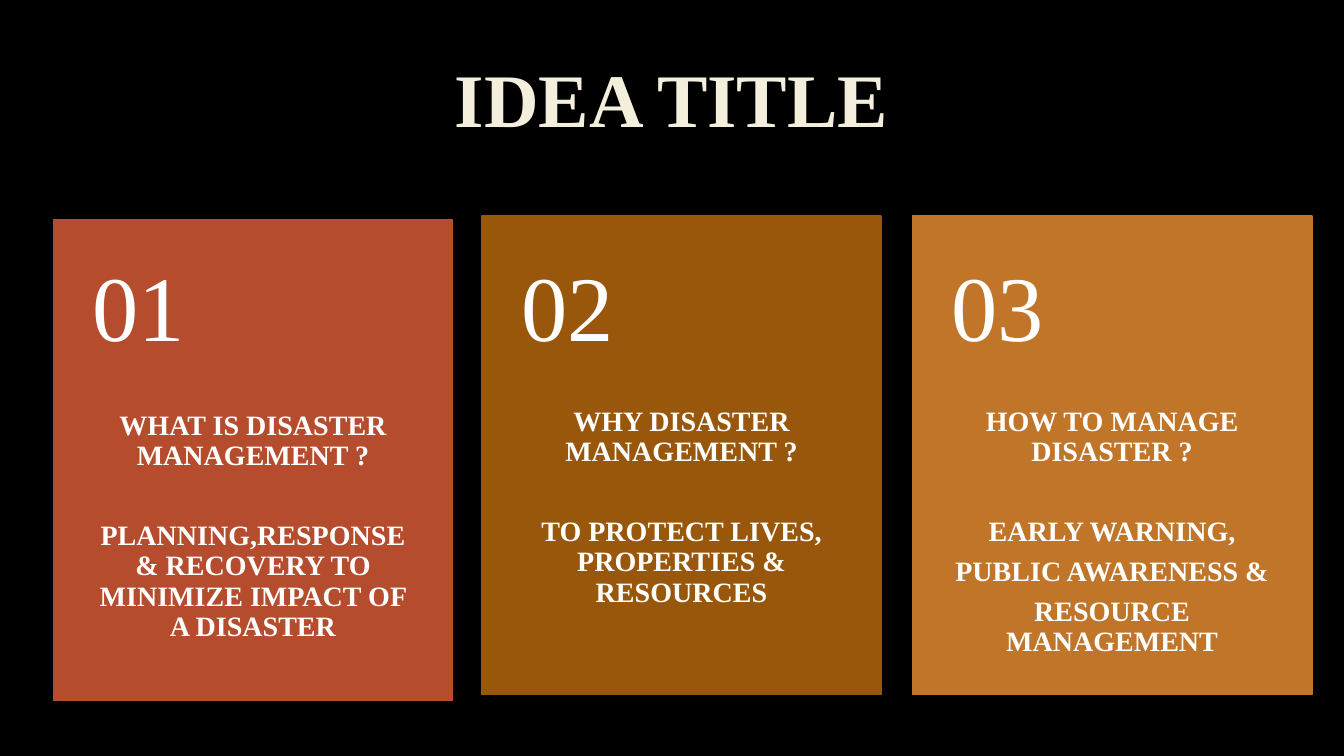
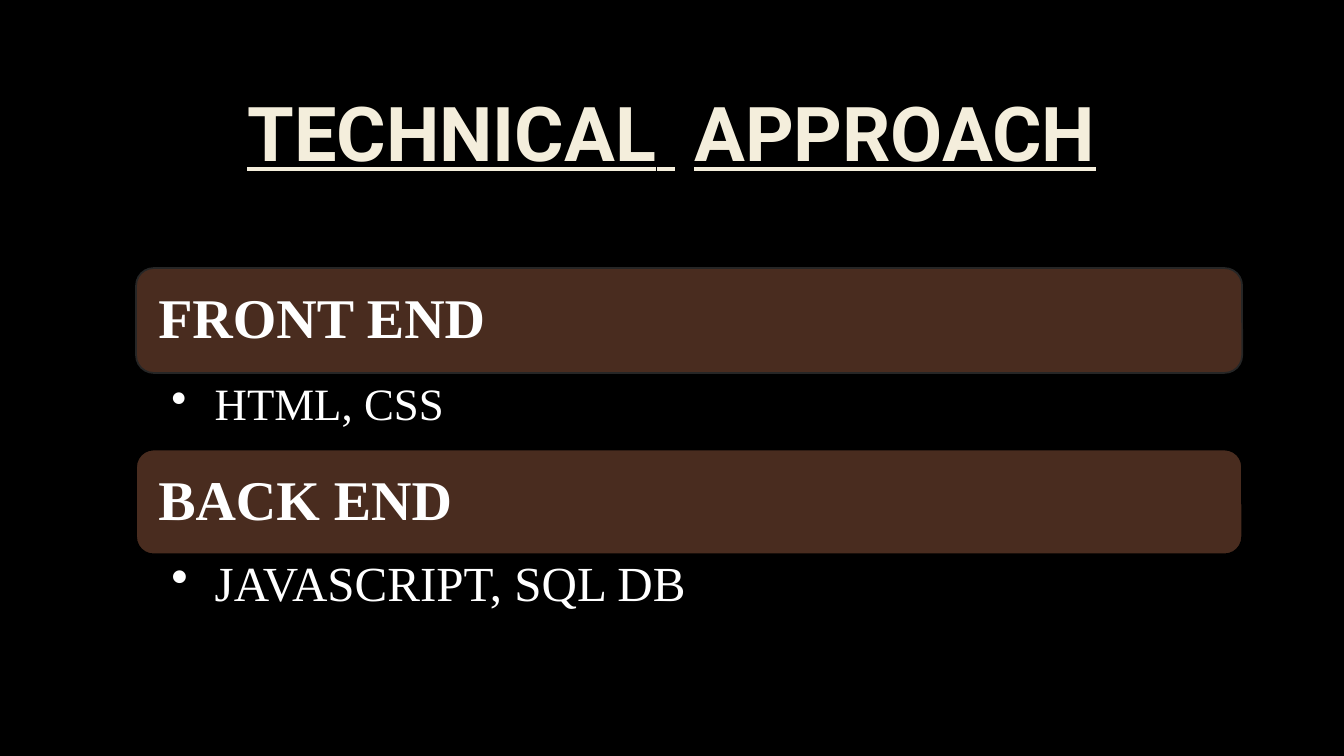
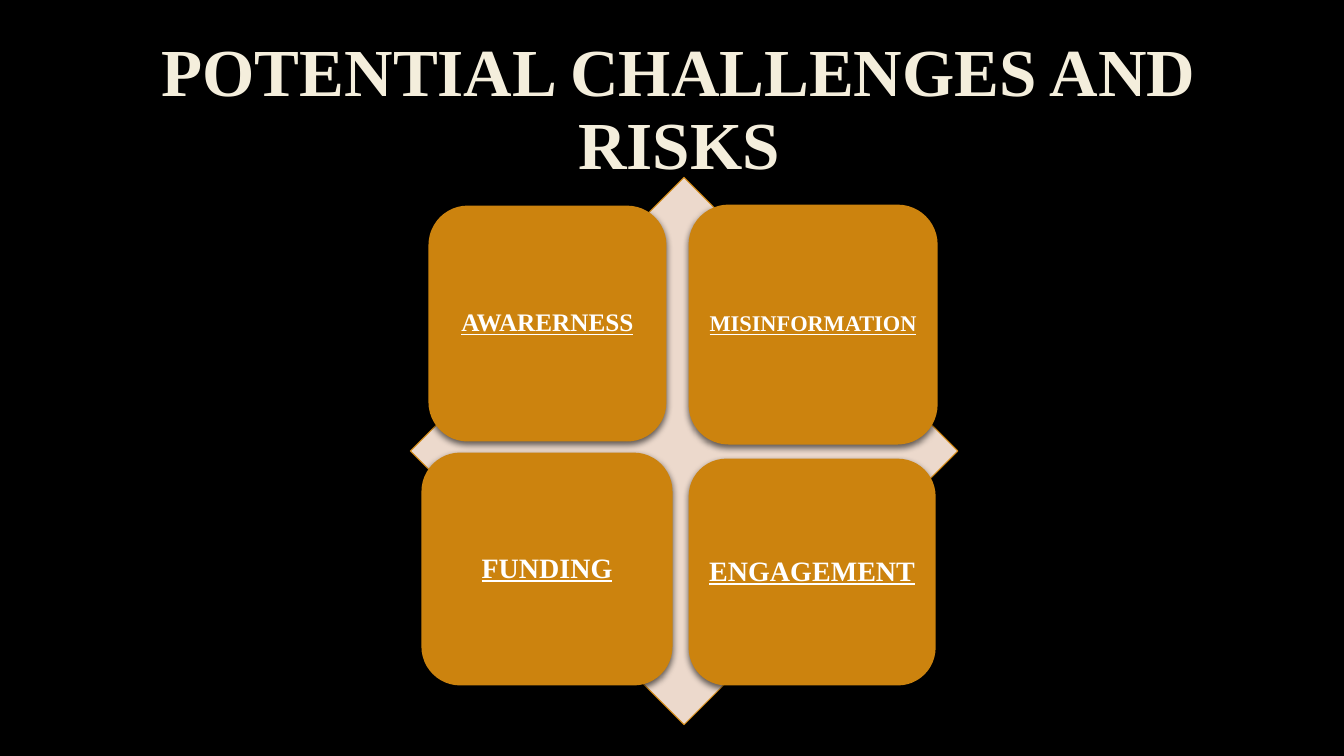
from dataclasses import dataclass

from lxml.etree import SubElement
from pptx import Presentation
from pptx.dml.color import RGBColor
from pptx.enum.shapes import MSO_SHAPE
from pptx.enum.text import MSO_ANCHOR, MSO_AUTO_SIZE, PP_ALIGN
from pptx.oxml.ns import qn
from pptx.shapes.autoshape import Shape
from pptx.slide import Slide
from pptx.text.text import TextFrame
from pptx.util import Inches, Pt


@dataclass(frozen=True)
class Theme:
    serif: str = "Times New Roman"
    sans: str = "Roboto"
    back: str = "000000"
    cream: str = "F4EEDC"
    white: str = "FFFFFF"
    rust: str = "B54C2D"
    brown: str = "99570C"
    amber: str = "C17529"
    cocoa: str = "492C1F"
    edge: str = "262626"
    gold: str = "CC830E"
    blush: str = "ECD9CC"
    head: float = 54
    number: float = 66
    body: float = 20
    band: float = 40
    lead: float = 0.9
    after: float = 7
    split: float = 35.5


THEME = Theme()


@dataclass(frozen=True)
class Box:
    left: float
    top: float
    width: float
    height: float

    def place(self) -> tuple[Inches, Inches, Inches, Inches]:
        return (Inches(self.left), Inches(self.top),
                Inches(self.width), Inches(self.height))


@dataclass(frozen=True)
class Style:
    size: float
    color: str = THEME.white
    font: str = THEME.serif
    bold: bool = True
    under: bool = False


@dataclass(frozen=True)
class Inset:
    left: float
    top: float
    right: float
    bottom: float


@dataclass(frozen=True)
class Card:
    number: str
    box: Box
    fill: str
    lines: tuple[str, ...]


@dataclass(frozen=True)
class Band:
    label: str
    top: float
    edge: str
    item: str
    item_top: float
    size: float
    pad: float


@dataclass(frozen=True)
class Tile:
    label: str
    box: Box
    size: float


CARDS = (
    Card("01", Box(0.53, 2.18, 3.96, 4.77), THEME.rust,
         ("WHAT IS DISASTER MANAGEMENT ?",
          "PLANNING,RESPONSE & RECOVERY TO MINIMIZE IMPACT OF A DISASTER")),
    Card("02", Box(4.78, 2.14, 3.96, 4.75), THEME.brown,
         ("WHY DISASTER MANAGEMENT ?",
          "TO PROTECT LIVES, PROPERTIES & RESOURCES")),
    Card("03", Box(9.05, 2.14, 3.96, 4.75), THEME.amber,
         ("HOW TO MANAGE DISASTER ?", "EARLY WARNING,",
          "PUBLIC AWARENESS &", "RESOURCE MANAGEMENT")),
)
BANDS = (
    Band("FRONT END", 2.66, THEME.edge, "HTML, CSS", 3.75, 32, 0.04),
    Band("BACK END", 4.46, THEME.back, "JAVASCRIPT, SQL DB", 5.49, 35, 0.06),
)
TILES = (
    Tile("AWARERNESS", Box(4.25, 2.04, 2.36, 2.34), 18),
    Tile("MISINFORMATION", Box(6.83, 2.03, 2.47, 2.38), 16),
    Tile("FUNDING", Box(4.18, 4.49, 2.49, 2.31), 20),
    Tile("ENGAGEMENT", Box(6.83, 4.55, 2.45, 2.25), 20),
)


def set_up(frame: TextFrame, inset: Inset, anchor: MSO_ANCHOR) -> None:
    frame.word_wrap = True
    frame.auto_size = MSO_AUTO_SIZE.NONE
    frame.vertical_anchor = anchor
    frame.margin_left = Inches(inset.left)
    frame.margin_top = Inches(inset.top)
    frame.margin_right = Inches(inset.right)
    frame.margin_bottom = Inches(inset.bottom)


def write(frame: TextFrame, lines: tuple[str, ...], style: Style,
          align: PP_ALIGN = PP_ALIGN.LEFT, wide: float = 0) -> None:
    """Fill a frame; wide adds points to the gaps between words."""
    for i, line in enumerate(lines):
        para = frame.add_paragraph() if i else frame.paragraphs[0]
        para.alignment = align
        para.line_spacing = THEME.lead
        para.space_before = Pt(0)
        para.space_after = Pt(THEME.after if i or len(lines) == 1
                              else THEME.split)
        parts = line.replace(" ", "| |").split("|") if wide else [line]
        for part in parts:
            run = para.add_run()
            run.text = part
            font = run.font
            font.name, font.size = style.font, Pt(style.size)
            font.bold, font.underline = style.bold, style.under
            font.color.rgb = RGBColor.from_string(style.color)
            if part == " ":
                font._element.set("spc", str(round(wide * 100)))


def add_title(slide: Slide, text: str, box: Box, style: Style,
              wide: float = 0) -> None:
    title = slide.shapes.title
    title.left, title.top, title.width, title.height = box.place()
    set_up(title.text_frame, Inset(0.1, 0.05, 0.1, 0.05), MSO_ANCHOR.MIDDLE)
    write(title.text_frame, (text,), style, PP_ALIGN.CENTER, wide)


def add_text(slide: Slide, box: Box, inset: Inset,
             anchor: MSO_ANCHOR = MSO_ANCHOR.TOP) -> TextFrame:
    frame = slide.shapes.add_textbox(*box.place()).text_frame
    set_up(frame, inset, anchor)
    return frame


def add_block(slide: Slide, kind: MSO_SHAPE, box: Box, fill: str,
              edge: str = "", weight: float = 1.25) -> Shape:
    block = slide.shapes.add_shape(kind, *box.place())
    block.shadow.inherit = False
    block.fill.solid()
    block.fill.fore_color.rgb = RGBColor.from_string(fill)
    if edge:
        block.line.color.rgb = RGBColor.from_string(edge)
        block.line.width = Pt(weight)
    else:
        block.line.fill.background()
    return block


def cast(shape: Shape) -> None:
    """Give a shape a soft shadow straight below it."""
    effects = shape._element.spPr.find(qn("a:effectLst"))
    outer = SubElement(effects, qn("a:outerShdw"), blurRad=str(Pt(5)),
                       dist=str(Pt(2)), dir="5400000", rotWithShape="0")
    color = SubElement(outer, qn("a:srgbClr"), val=THEME.back)
    SubElement(color, qn("a:alpha"), val="60000")


def add_bullet(frame: TextFrame, indent: float) -> None:
    props = frame.paragraphs[0]._p.get_or_add_pPr()
    props.set("marL", str(Inches(indent)))
    props.set("indent", str(-Inches(indent)))
    SubElement(props, qn("a:buChar"), char="•")


def draw_card(slide: Slide, card: Card) -> None:
    box, split = card.box, 1.9
    add_block(slide, MSO_SHAPE.RECTANGLE, box, card.fill, card.fill)
    body = add_text(slide, Box(box.left, box.top + split, box.width,
                               box.height - split),
                    Inset(0.39, 0, 0.39, 0.36))
    write(body, card.lines, Style(THEME.body), PP_ALIGN.CENTER)
    number = add_text(slide, Box(box.left, 2.14, box.width, split),
                      Inset(0.39, 0.18, 0.39, 0.18), MSO_ANCHOR.MIDDLE)
    write(number, (card.number,), Style(THEME.number, bold=False))


def draw_band(slide: Slide, band: Band) -> None:
    left, width = 1.35, 10.97
    bar = add_block(slide, MSO_SHAPE.ROUNDED_RECTANGLE,
                    Box(left, band.top, width, 1.04), THEME.cocoa, band.edge)
    set_up(bar.text_frame, Inset(0.17, 0.17, 0.17, 0.17), MSO_ANCHOR.MIDDLE)
    write(bar.text_frame, (band.label,), Style(THEME.band))
    item = add_text(slide, Box(left, band.item_top, width, 0.81),
                    Inset(0.35, band.pad, 0.35, band.pad))
    write(item, (band.item,), Style(band.size, bold=False))
    add_bullet(item, 0.43)


def draw_tile(slide: Slide, tile: Tile) -> None:
    block = add_block(slide, MSO_SHAPE.ROUNDED_RECTANGLE, tile.box, THEME.gold)
    cast(block)
    set_up(block.text_frame, Inset(0.07, 0.07, 0.07, 0.07), MSO_ANCHOR.MIDDLE)
    write(block.text_frame, (tile.label,), Style(tile.size, under=True),
          PP_ALIGN.CENTER)


def main() -> None:
    deck = Presentation()
    deck.slide_width, deck.slide_height = Inches(13.33), Inches(7.5)
    back = deck.slide_master.background.fill
    back.solid()
    back.fore_color.rgb = RGBColor.from_string(THEME.back)
    layout = deck.slide_layouts.get_by_name("Title Only")
    idea, tech, risk = (deck.slides.add_slide(layout) for _ in range(3))

    add_title(idea, "IDEA TITLE", Box(1, 0.33, 11.32, 1.38),
              Style(THEME.head, THEME.cream))
    for card in CARDS:
        draw_card(idea, card)

    add_title(tech, "TECHNICAL APPROACH", Box(1, 0.67, 11.32, 1.38),
              Style(THEME.head, THEME.cream, THEME.sans, under=True), wide=13.4)
    for band in BANDS:
        draw_band(tech, band)

    add_title(risk, "POTENTIAL CHALLENGES AND RISKS",
              Box(0.45, 0.45, 12.57, 1.31), Style(48, THEME.cream))
    add_block(risk, MSO_SHAPE.DIAMOND, Box(4.07, 1.76, 5.43, 5.43),
              THEME.blush, THEME.gold, 0.75)
    for tile in TILES:
        draw_tile(risk, tile)

    deck.save("out.pptx")


if __name__ == "__main__":
    main()
